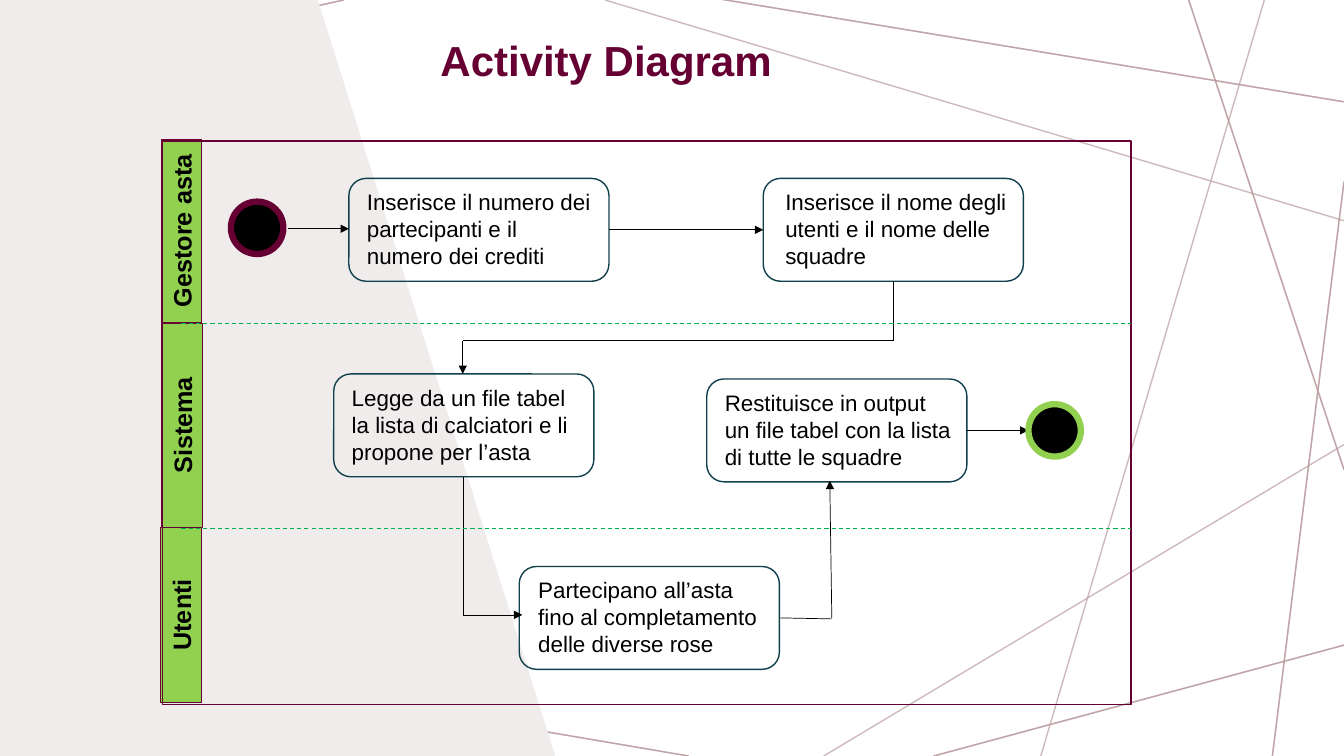
import dataclasses
import typing

import lxml.etree
import pptx
import pptx.dml.color
import pptx.enum.dml
import pptx.enum.shapes
import pptx.enum.text
import pptx.oxml.ns
import pptx.util

Inches = pptx.util.Inches
Preset = pptx.enum.shapes.MSO_SHAPE
Align = pptx.enum.text.PP_ALIGN


@dataclasses.dataclass(frozen=True)
class Theme:
    font: str = "Arial"
    wine: str = "660033"
    lime: str = "92D050"
    green: str = "00B050"
    black: str = "000000"
    teal: str = "10404C"
    mesh: str = "BA9CA0"
    panel: str = "F0ECEC"
    title_size: int = 30
    lane_size: int = 18
    action_size: int = 16


@dataclasses.dataclass(frozen=True)
class Area:
    left: float
    top: float
    width: float
    height: float


@dataclasses.dataclass(frozen=True)
class Segment:
    x1: float
    y1: float
    x2: float
    y2: float
    arrow: bool = False


@dataclasses.dataclass(frozen=True)
class Lane:
    label: str
    area: Area


@dataclasses.dataclass(frozen=True)
class Action:
    text: str
    left: float
    top: float
    text_indent: float
    text_width: float


@dataclasses.dataclass(frozen=True)
class Node:
    left: float
    top: float
    ring: str


THEME = Theme()
ACTION_WIDTH, ACTION_HEIGHT = 2.58, 1.02
NODE_SIZE = 0.52
FRAME = Area(1.61, 1.4, 9.61, 5.59)
PANEL_UNIT = Inches(0.01)
PANEL_CORNERS = [(0, 0), (0, 750), (551, 751), (315, -1)]

MESH_BEHIND = [
    Segment(3.41, 0, 0, 0.75),
    Segment(6.83, 7.5, -0.05, 6.33),
    Segment(13.33, 6.4, 9.26, 7.5),
    Segment(13.33, 1.8, 12.62, 7.5),
    Segment(13.33, 4.66, 11.79, 0),
    Segment(13.33, 1.01, 7.14, -0.01),
]
MESH_FRONT = [
    Segment(13.33, 2.19, 6, 0),
    Segment(13.33, 4.41, 8.17, 7.5),
    Segment(12.54, 0, 10.32, 7.51),
]
LANES = [
    Lane("Gestore asta", Area(0.89, 2.09, 1.82, 0.4)),
    Lane("Utenti", Area(0.93, 5.9, 1.73, 0.4)),
    Lane("Sistema", Area(0.79, 4.02, 2.03, 0.4)),
]
ACTIONS = [
    Action("Inserisce il numero dei partecipanti e il numero dei crediti", 3.46, 1.77, 0.08, 2.49),
    Action("Inserisce il nome degli utenti e il nome delle squadre", 7.57, 1.77, 0.12, 2.51),
    Action("Legge da un file tabel la lista di calciatori e li propone per l’asta", 3.31, 3.71, 0.08, 2.42),
    Action("Partecipano all’asta fino al completamento delle diverse rose", 5.15, 5.62, 0.09, 2.43),
    Action("Restituisce in output un file tabel con la lista di tutte le squadre", 7.01, 3.76, 0.08, 2.47),
]
NODES = [Node(2.29, 2, THEME.wine), Node(10.2, 4.01, THEME.lime)]
FLOWS = [
    Segment(2.86, 2.27, 3.46, 2.27, True),
    Segment(6.04, 2.28, 7.57, 2.28, True),
    Segment(8.86, 2.79, 8.86, 3.38),
    Segment(8.86, 3.38, 4.59, 3.38),
    Segment(4.59, 3.38, 4.59, 3.71, True),
    Segment(4.6, 4.73, 4.6, 6.1),
    Segment(4.59, 6.1, 5.18, 6.1, True),
    Segment(7.74, 6.13, 8.25, 6.14),
    Segment(8.25, 6.13, 8.23, 4.77, True),
    Segment(9.59, 4.27, 10.2, 4.27, True),
]
LANE_DIVIDERS = [Segment(1.8, y, 11.22, y) for y in (5.24, 3.21)]


def rgb(color: str) -> pptx.dml.color.RGBColor:
    return pptx.dml.color.RGBColor.from_string(color)


def add_child(parent: typing.Any, tag: str, **attributes: str) -> None:
    lxml.etree.SubElement(parent, pptx.oxml.ns.qn(tag), attributes)


def apply(target: typing.Any, formats: dict[str, typing.Any]) -> None:
    for attribute, value in formats.items():
        setattr(target, attribute, value)


def paint(shape: typing.Any, fill: str | None, outline: str | None, weight: float = 1) -> None:
    shape.shadow.inherit = False
    if fill:
        shape.fill.solid()
        shape.fill.fore_color.rgb = rgb(fill)
    else:
        shape.fill.background()
    if outline:
        shape.line.color.rgb = rgb(outline)
        shape.line.width = pptx.util.Pt(weight)
    else:
        shape.line.fill.background()


def draw_shape(shapes: typing.Any, preset: typing.Any, area: Area, fill: str | None,
               outline: str, weight: float) -> typing.Any:
    shape = shapes.add_shape(preset, *map(Inches, dataclasses.astuple(area)))
    paint(shape, fill, outline, weight)
    return shape


def write(shape: typing.Any, text: str, size: int, color: str, bold: bool = False,
          align: typing.Any = Align.LEFT) -> None:
    apply(shape.text_frame, {
        "text": text,
        "word_wrap": True,
        "auto_size": pptx.enum.text.MSO_AUTO_SIZE.SHAPE_TO_FIT_TEXT,
    })
    paragraph = shape.text_frame.paragraphs[0]
    paragraph.alignment = align
    font = paragraph.runs[0].font
    apply(font, {"name": THEME.font, "size": pptx.util.Pt(size), "bold": bold})
    font.color.rgb = rgb(color)


def draw_segment(shapes: typing.Any, segment: Segment, color: str, weight: float,
                 dashed: bool = False, opacity: int = 100) -> None:
    ends = map(Inches, (segment.x1, segment.y1, segment.x2, segment.y2))
    connector = shapes.add_connector(pptx.enum.shapes.MSO_CONNECTOR.STRAIGHT, *ends)
    connector.line.color.rgb = rgb(color)
    connector.line.width = pptx.util.Pt(weight)
    if dashed:
        connector.line.dash_style = pptx.enum.dml.MSO_LINE.DASH
    properties = connector.element.spPr
    outline = properties.find(pptx.oxml.ns.qn("a:ln"))
    if opacity < 100:
        add_child(outline.find(".//" + pptx.oxml.ns.qn("a:srgbClr")), "a:alpha", val=str(opacity * 1000))
    if segment.arrow:
        add_child(outline, "a:tailEnd", type="triangle")
    add_child(properties, "a:effectLst")


def draw_background(shapes: typing.Any) -> None:
    for segment in MESH_BEHIND * 2:
        draw_segment(shapes, segment, THEME.mesh, 1, opacity=70)
    builder = shapes.build_freeform(*PANEL_CORNERS[0], scale=PANEL_UNIT)
    builder.add_line_segments(PANEL_CORNERS[1:], close=True)
    paint(builder.convert_to_shape(), THEME.panel, None)
    for segment in MESH_FRONT:
        draw_segment(shapes, segment, THEME.mesh, 1, opacity=70)


def draw_lane(shapes: typing.Any, lane: Lane) -> None:
    header = draw_shape(shapes, Preset.RECTANGLE, lane.area, THEME.lime, THEME.wine, 0.75)
    header.rotation = 270
    write(header, lane.label, THEME.lane_size, THEME.black, True, Align.CENTER)


def draw_action(shapes: typing.Any, action: Action) -> None:
    area = Area(action.left, action.top, ACTION_WIDTH, ACTION_HEIGHT)
    draw_shape(shapes, Preset.ROUNDED_RECTANGLE, area, None, THEME.teal, 1)
    caption = shapes.add_textbox(Inches(action.left + action.text_indent), Inches(action.top + 0.05),
                                 Inches(action.text_width), Inches(0.91))
    write(caption, action.text, THEME.action_size, THEME.black)


def main() -> None:
    deck = pptx.Presentation()
    apply(deck, {"slide_width": Inches(13.33), "slide_height": Inches(7.5)})
    shapes = deck.slides.add_slide(deck.slide_layouts[6]).shapes
    draw_background(shapes)
    title = shapes.add_textbox(Inches(4.27), Inches(0.29), Inches(3.55), Inches(0.61))
    write(title, "Activity Diagram", THEME.title_size, THEME.wine, True)
    for lane in LANES:
        draw_lane(shapes, lane)
    for action in ACTIONS:
        draw_action(shapes, action)
    for flow in FLOWS:
        draw_segment(shapes, flow, THEME.black, 0.5)
    for node in NODES:
        area = Area(node.left, node.top, NODE_SIZE, NODE_SIZE)
        draw_shape(shapes, Preset.FLOWCHART_CONNECTOR, area, THEME.black, node.ring, 4.5)
    draw_shape(shapes, Preset.RECTANGLE, FRAME, None, THEME.wine, 1)
    for divider in LANE_DIVIDERS:
        draw_segment(shapes, divider, THEME.green, 0.75, dashed=True)
    deck.save("out.pptx")


if __name__ == "__main__":
    main()
